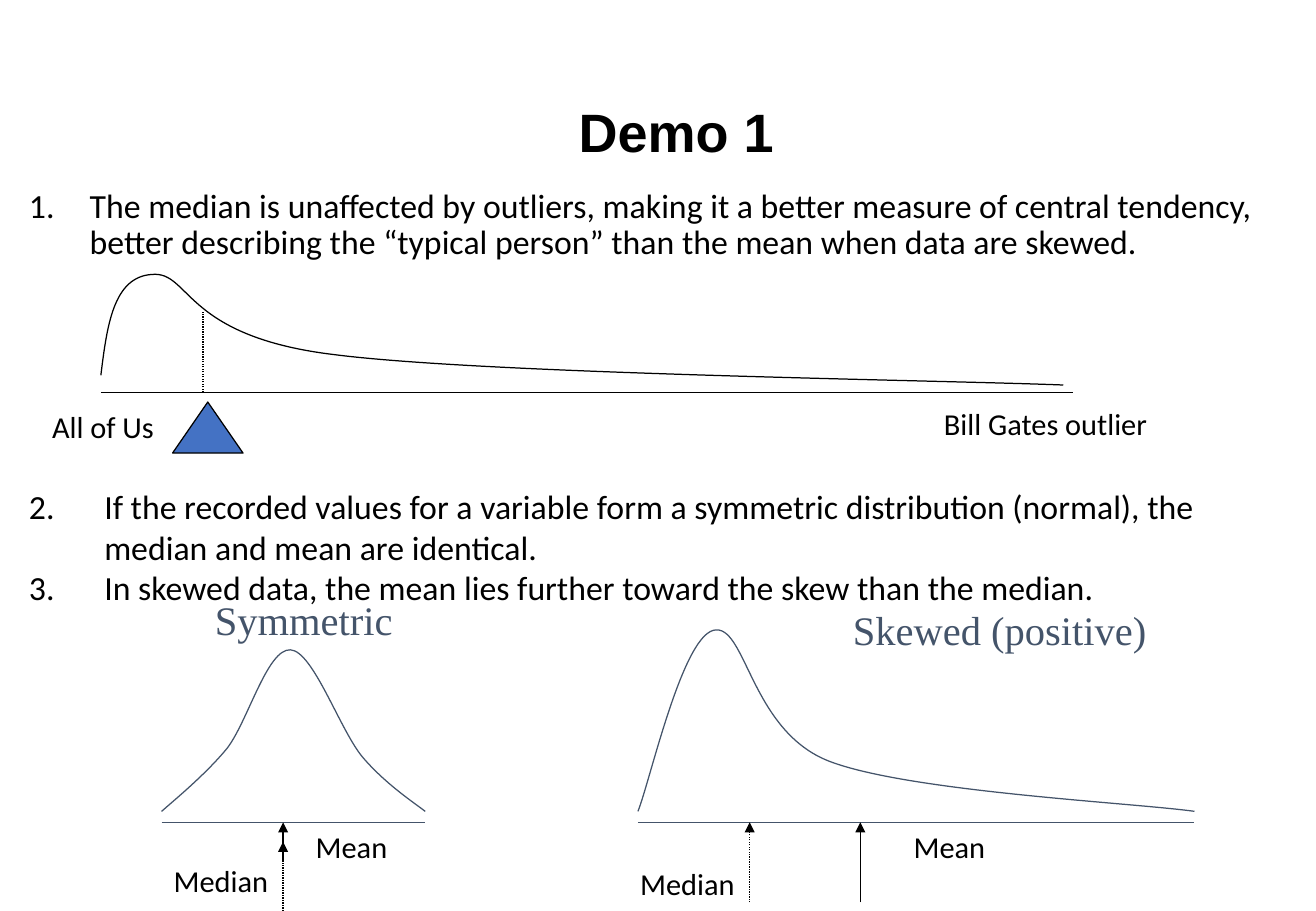
from dataclasses import dataclass

from pptx import Presentation
from pptx.dml.color import RGBColor
from pptx.enum.dml import MSO_LINE
from pptx.enum.shapes import MSO_CONNECTOR, MSO_SHAPE
from pptx.enum.text import MSO_ANCHOR, PP_ALIGN
from pptx.oxml.ns import qn
from pptx.util import Inches, Pt
from lxml import etree

STRAIGHT = MSO_CONNECTOR.STRAIGHT
TRIANGLE = MSO_SHAPE.ISOSCELES_TRIANGLE
DOTTED = MSO_LINE.ROUND_DOT
CENTER, LEFT = PP_ALIGN.CENTER, PP_ALIGN.LEFT
MIDDLE, TOP = MSO_ANCHOR.MIDDLE, MSO_ANCHOR.TOP


@dataclass(frozen=True)
class Theme:
    black: RGBColor = RGBColor(0, 0, 0)
    slate: RGBColor = RGBColor(0x44, 0x54, 0x6A)
    blue: RGBColor = RGBColor(0x44, 0x72, 0xC4)
    title_font: str = "Arial"
    body_font: str = "Calibri"
    chart_font: str = "Times New Roman"
    title_size: int = 32
    chart_size: int = 24
    body_size: int = 20
    label_size: int = 18
    line_width: float = 0.75


class SlideBuilder:
    def __init__(self, slide, theme):
        self.s = slide
        self.theme = theme

    def style_run(self, p, font, size, color, bold=False):
        for r in p.runs:
            r.font.name = font
            r.font.size = Pt(size)
            r.font.color.rgb = color
            r.font.bold = bold

    def text_frame(self, x, y, w, h, anchor=TOP):
        sp = self.s.shapes.add_textbox(Inches(x), Inches(y), Inches(w), Inches(h))
        tf = sp.text_frame
        tf.word_wrap = True
        tf.vertical_anchor = anchor
        return tf

    def title(self, text, x, y, w, h):
        tf = self.text_frame(x, y, w, h, MIDDLE)
        tf.margin_left = Inches(0.39)
        tf.text = text
        p = tf.paragraphs[0]
        p.alignment = CENTER
        self.style_run(p, self.theme.title_font, self.theme.title_size,
                       self.theme.black, bold=True)

    def label(self, text, x, y, w):
        tf = self.text_frame(x, y, w, 0.4)
        tf.text = text
        self.style_run(tf.paragraphs[0], self.theme.body_font,
                       self.theme.label_size, self.theme.black)

    def chart_heading(self, text, x, y, w):
        tf = self.text_frame(x, y, w, 0.5)
        tf.text = text
        self.style_run(tf.paragraphs[0], self.theme.chart_font,
                       self.theme.chart_size, self.theme.slate)

    def numbered_list(self, items, x, y, w, h, start, indent, spacing):
        tf = self.text_frame(x, y, w, h)
        tf.text = "\n".join(items)
        for p in tf.paragraphs:
            pPr = p._p.get_or_add_pPr()
            pPr.set("marL", str(Inches(indent)))
            pPr.set("indent", str(-Inches(indent)))
            bullet = etree.SubElement(pPr, qn("a:buAutoNum"), type="arabicPeriod")
            bullet.set("startAt", str(start))
            p.alignment = LEFT
            p.line_spacing = spacing
            self.style_run(p, self.theme.body_font, self.theme.body_size,
                           self.theme.black)

    def line(self, x1, y1, x2, y2, color=None, dotted=False, arrow=False):
        c = self.s.shapes.add_connector(STRAIGHT, Inches(x1), Inches(y1),
                                        Inches(x2), Inches(y2))
        c.line.color.rgb = color or self.theme.black
        c.line.width = Pt(self.theme.line_width)
        if dotted:
            c.line.dash_style = DOTTED
        if arrow:
            etree.SubElement(c.line._get_or_add_ln(), qn("a:tailEnd"), type="triangle")
        etree.SubElement(c._element.spPr, qn("a:effectLst"))

    def curve(self, points, color):
        """Draw a Bézier curve: a start point, then three points per segment."""
        start, *rest = [(Inches(x), Inches(y)) for x, y in points]
        builder = self.s.shapes.build_freeform(*start)
        builder.add_line_segments(rest, close=False)
        sp = builder.convert_to_shape()
        segments = sp._element.xpath(".//a:lnTo")
        for i in range(0, len(segments), 3):
            bezier = etree.Element(qn("a:cubicBezTo"))
            segments[i].addprevious(bezier)
            for segment in segments[i:i + 3]:
                bezier.append(segment[0])
                segment.getparent().remove(segment)
        sp.fill.background()
        self.outline(sp, color)

    def triangle(self, x, y, w, h):
        sp = self.s.shapes.add_shape(TRIANGLE, Inches(x), Inches(y),
                                     Inches(w), Inches(h))
        sp.fill.solid()
        sp.fill.fore_color.rgb = self.theme.blue
        self.outline(sp, self.theme.black)

    def outline(self, sp, color):
        sp.line.color.rgb = color
        sp.line.width = Pt(self.theme.line_width)
        sp.shadow.inherit = False


def main():
    prs = Presentation()
    prs.slide_width, prs.slide_height = Inches(10.83), Inches(7.5)
    theme = Theme()
    b = SlideBuilder(prs.slides.add_slide(prs.slide_layouts[6]), theme)

    b.title("Demo 1", 0.42, 0.4, 10, 1.36)
    b.numbered_list(
        ["The median is unaffected by outliers, making it a better measure of central "
         "tendency, better describing the “typical person” than the mean when data "
         "are skewed."],
        0.14, 1.51, 10.46, 0.71, start=1, indent=0.5, spacing=0.9)
    b.numbered_list(
        ["If the recorded values for a variable form a symmetric distribution (normal), "
         "the median and mean are identical.",
         "In skewed data, the mean lies further toward the skew than the median."],
        0.14, 3.95, 10.46, 1.12, start=2, indent=0.62, spacing=1.0)

    # Outlier distribution balanced on its mean
    b.curve([(0.83, 3.09), (0.88, 2.69), (0.93, 2.28), (1.25, 2.26),
             (1.57, 2.23), (1.5, 2.77), (2.75, 2.92),
             (4, 3.08), (7.75, 3.13), (8.75, 3.17)], theme.black)
    b.line(0.83, 3.23, 8.83, 3.23)
    b.line(1.67, 3.23, 1.67, 2.56, dotted=True)
    b.triangle(1.42, 3.31, 0.58, 0.42)
    b.label("All of Us", 0.33, 3.31, 1.75)
    b.label("Bill Gates outlier", 7.67, 3.29, 2.17)

    # Symmetric and skewed distributions on a shared baseline
    baseline = 6.77
    b.curve([(1.33, 6.68), (1.42, 6.6), (1.69, 6.38), (1.87, 6.16),
             (2.04, 5.94), (2.2, 5.34), (2.39, 5.35),
             (2.58, 5.36), (2.8, 6.02), (2.99, 6.24),
             (3.18, 6.46), (3.41, 6.61), (3.5, 6.68)], theme.slate)
    b.curve([(5.25, 6.68), (5.35, 6.43), (5.61, 5.26), (5.87, 5.19),
             (6.14, 5.12), (6.17, 6.02), (6.83, 6.27),
             (7.49, 6.52), (9.33, 6.61), (9.83, 6.68)], theme.slate)
    for left, right in [(1.33, 3.5), (5.25, 9.83)]:
        b.line(left, baseline, right, baseline, theme.slate)
    for x, bottom, top, dotted in [(2.33, 7.1, baseline, False),
                                   (2.33, 7.5, 6.93, True),
                                   (7.08, 7.43, baseline, False),
                                   (6.17, 7.43, baseline, True)]:
        b.line(x, bottom, x, top, dotted=dotted, arrow=True)
    for mean_x, median_x, median_y in [(2.5, 1.33, 7.05), (7.42, 5.17, 7.07)]:
        b.label("Mean", mean_x, baseline, 1.33)
        b.label("Median", median_x, median_y, 1.42)
    b.chart_heading("Symmetric", 1.67, 4.85, 2.08)
    b.chart_heading("Skewed (positive)", 6.92, 4.93, 2.92)

    prs.save("out.pptx")


if __name__ == "__main__":
    main()
